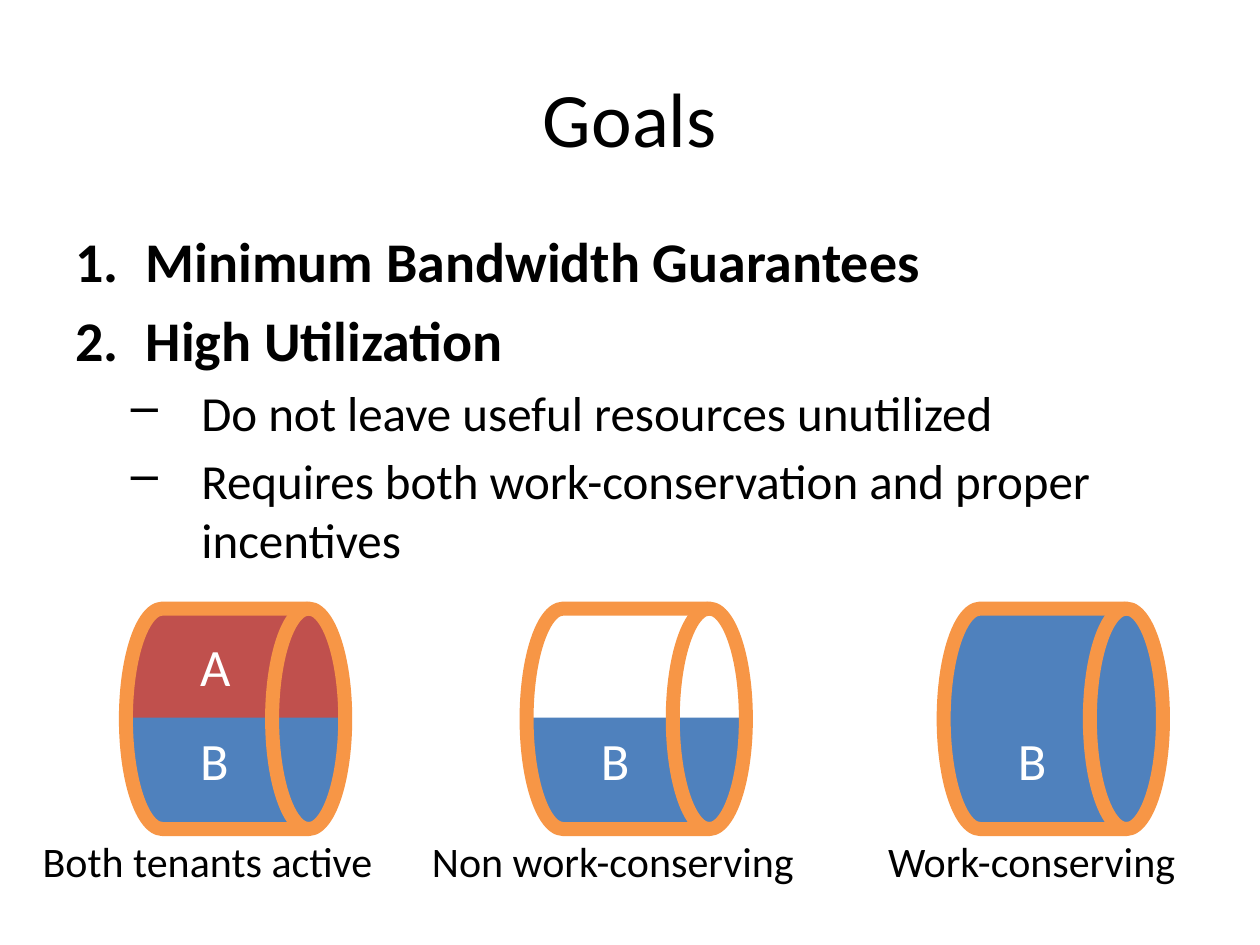
from pptx import Presentation
from pptx.dml.color import RGBColor
from pptx.enum.shapes import MSO_SHAPE
from pptx.enum.text import MSO_ANCHOR, MSO_AUTO_SIZE, PP_ALIGN
from pptx.oxml.ns import qn
from pptx.util import Inches, Pt
from lxml import etree

HALF = MSO_SHAPE.ROUND_2_SAME_RECTANGLE
DRUM = MSO_SHAPE.FLOWCHART_DIRECT_ACCESS_STORAGE
MIDDLE = MSO_ANCHOR.MIDDLE
CENTER = PP_ALIGN.CENTER
FIT_TEXT = MSO_AUTO_SIZE.SHAPE_TO_FIT_TEXT
TITLE_ONLY = 5

COLORS = {"black": "000000", "white": "FFFFFF", "tenant_a": "C0504D",
          "tenant_b": "4F81BD", "pipe": "F79646"}

PIPE_TOP, PIPE_WIDTH, PIPE_HEIGHT = 4.83, 1.74, 1.75
HALF_INSET, HALF_WIDTH, HALF_HEIGHT = 0.03, 1.68, 0.88
HALF_TOPS = (4.85, 5.71)
HALF_ROUNDING = ((0.5, 0), (0, 0.5))
LABEL_INSET = 0.49
LABEL_TOPS = (4.98, 5.73)
CAPTION_TOP = 6.58

GOALS = [
    ("Minimum Bandwidth Guarantees", 0),
    ("High Utilization", 0),
    ("Do not leave useful resources unutilized", 1),
    ("Requires both work-conservation and proper incentives", 1),
]
LEVELS = [
    {"size": 32, "bold": True, "margin": 0.56, "bullet": ("a:buAutoNum", "type", "arabicPeriod")},
    {"size": 28, "bold": False, "margin": 1, "bullet": ("a:buChar", "char", "–")},
]
HANGING = 0.56

PIPES = [
    {"left": 1.00, "halves": ("tenant_a", "tenant_b"), "labels": ("A", "B"),
     "caption": ("Both tenants active", 0.24, 2.84)},
    {"left": 4.18, "halves": (None, "tenant_b"), "labels": (None, "B"),
     "caption": ("Non work-conserving", 3.33, 3.11)},
    {"left": 7.49, "halves": ("tenant_b", "tenant_b"), "labels": (None, "B"),
     "caption": ("Work-conserving", 6.95, 2.52)},
]


def color(name):
    return RGBColor.from_string(COLORS[name])


def write(para, text, size, name="black", bold=False):
    span = para.add_run()
    span.text = text
    formats = {"name": "Calibri", "size": Pt(size), "bold": bold}
    for key, value in formats.items():
        setattr(span.font, key, value)
    span.font.color.rgb = color(name)


def add_title(page, text):
    title = page.shapes.title
    places = {"left": 0.5, "top": 0.3, "width": 9, "height": 1.25}
    for key, value in places.items():
        setattr(title, key, Inches(value))
    title.text_frame.vertical_anchor = MIDDLE
    para = title.text_frame.paragraphs[0]
    para.alignment = CENTER
    write(para, text, 44)


def add_goals(page):
    box = page.shapes.add_textbox(Inches(0.5), Inches(1.75), Inches(9), Inches(4.95))
    frame = box.text_frame
    frame.word_wrap = True
    for index, (text, level) in enumerate(GOALS):
        para = frame.add_paragraph() if index else frame.paragraphs[0]
        style = LEVELS[level]
        para.level = level
        para.space_before = Pt(style["size"] * 0.2)
        properties = para._p.get_or_add_pPr()
        properties.set("marL", str(Inches(style["margin"])))
        properties.set("indent", str(-Inches(HANGING)))
        tag, key, value = style["bullet"]
        etree.SubElement(properties, qn(tag)).set(key, value)
        write(para, text, style["size"], bold=style["bold"])


def add_outlined(page, kind, left, top, width, height, line, weight):
    shape = page.shapes.add_shape(kind, Inches(left), Inches(top), Inches(width), Inches(height))
    shape.shadow.inherit = False
    shape.fill.background()
    shape.line.color.rgb = color(line)
    shape.line.width = Pt(weight)
    return shape


def add_half(page, left, row, name):
    half = add_outlined(page, HALF, left + HALF_INSET, HALF_TOPS[row],
                        HALF_WIDTH, HALF_HEIGHT, name, 2)
    half.fill.solid()
    half.fill.fore_color.rgb = color(name)
    for index, rounding in enumerate(HALF_ROUNDING[row]):
        half.adjustments[index] = rounding


def add_label(page, text, left, top, width, height, size, name):
    box = page.shapes.add_textbox(Inches(left), Inches(top), Inches(width), Inches(height))
    box.text_frame.word_wrap = False
    box.text_frame.auto_size = FIT_TEXT
    write(box.text_frame.paragraphs[0], text, size, name)


def add_pipe(page, pipe):
    left = pipe["left"]
    for row, name in enumerate(pipe["halves"]):
        if name:
            add_half(page, left, row, name)
    add_outlined(page, DRUM, left, PIPE_TOP, PIPE_WIDTH, PIPE_HEIGHT, "pipe", 8)
    for top, text in zip(LABEL_TOPS, pipe["labels"]):
        if text:
            add_label(page, text, left + LABEL_INSET, top, 0.44, 0.61, 30, "white")
    caption, caption_left, caption_width = pipe["caption"]
    add_label(page, caption, caption_left, CAPTION_TOP, caption_width, 0.5, 24, "black")


def main():
    deck = Presentation()
    deck.slide_width, deck.slide_height = Inches(10), Inches(7.5)
    page = deck.slides.add_slide(deck.slide_layouts[TITLE_ONLY])
    add_title(page, "Goals")
    add_goals(page)
    for pipe in PIPES:
        add_pipe(page, pipe)
    deck.save("out.pptx")


if __name__ == "__main__":
    main()
